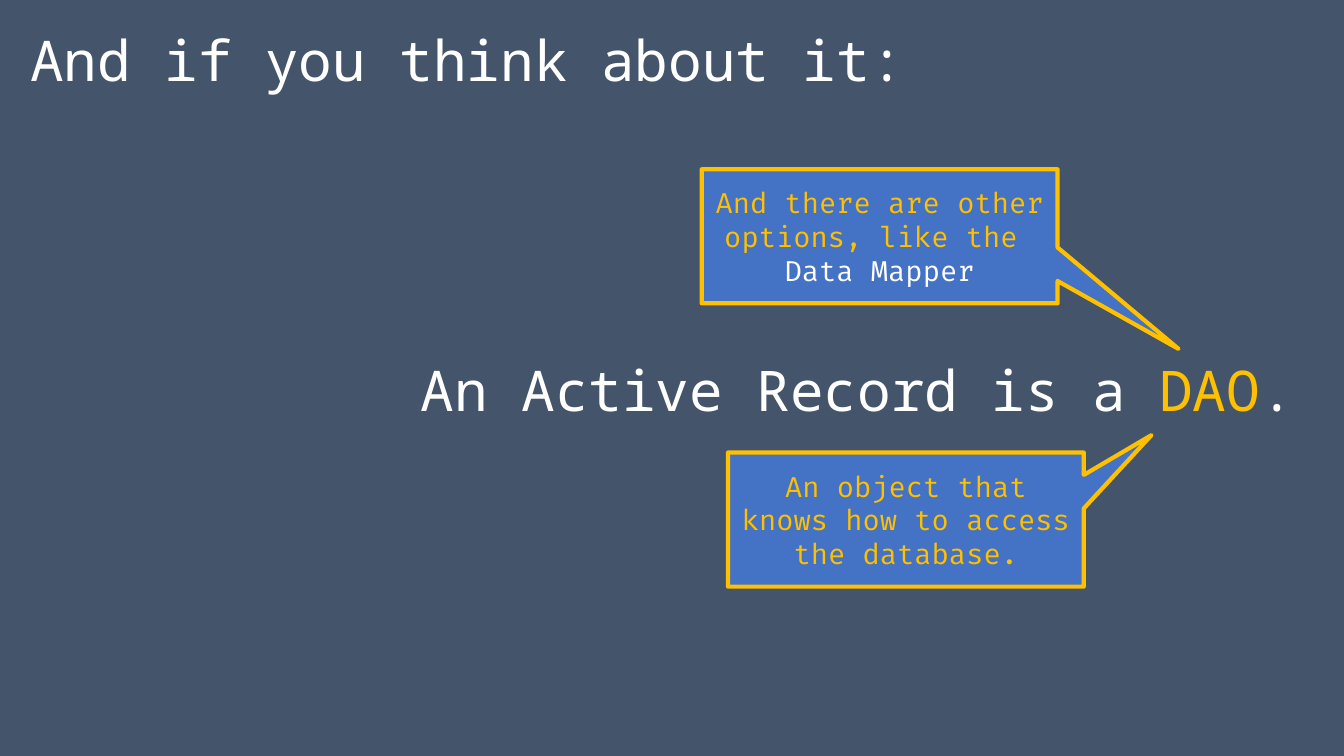
from pptx import Presentation
from pptx.dml.color import RGBColor
from pptx.enum.shapes import MSO_SHAPE
from pptx.enum.text import MSO_ANCHOR, MSO_AUTO_SIZE, PP_ALIGN
from pptx.util import Inches, Pt

CALLOUT = MSO_SHAPE.RECTANGULAR_CALLOUT
TOP, MIDDLE = MSO_ANCHOR.TOP, MSO_ANCHOR.MIDDLE
LEFT, CENTER, RIGHT = PP_ALIGN.LEFT, PP_ALIGN.CENTER, PP_ALIGN.RIGHT
NO_FIT = MSO_AUTO_SIZE.NONE

MONO, CODE = "Noto Sans Mono", "Fira Code"
SLATE, BLUE, GOLD, WHITE = "44546A", "4472C4", "FFC000", "FFFFFF"
LINE_W, LINE_H = 12.53, 0.77
NOTE_W, NOTE_H = 3.53, 1.33


def color(value):
    return RGBColor.from_string(value)


def write(shape, parts, font=MONO, size=40, align=LEFT, anchor=TOP):
    """Fill one paragraph with (text, colour) parts; None is a line break."""
    frame = shape.text_frame
    frame.word_wrap = True
    frame.auto_size = NO_FIT
    frame.vertical_anchor = anchor
    para = frame.paragraphs[0]
    para.alignment = align
    for part in parts:
        if part is None:
            para.add_line_break()
            continue
        run = para.add_run()
        run.text, tint = part
        run.font.name = font
        run.font.size = Pt(size)
        run.font.color.rgb = color(tint)


def add_title(slide, box):
    title = slide.shapes.title
    title.left, title.top, title.width, title.height = map(Inches, box)
    write(title, [("And if you think about it:", WHITE)])


def add_claim(slide, box):
    claim = slide.shapes.add_textbox(*map(Inches, box))
    parts = [("An Active Record is a ", WHITE), ("DAO", GOLD), (".", WHITE)]
    write(claim, parts, align=RIGHT)


def add_note(slide, box, tip, parts):
    """Add a callout whose tip is offset from its centre in box fractions."""
    note = slide.shapes.add_shape(CALLOUT, *map(Inches, box))
    note.shadow.inherit = False
    note.adjustments[0], note.adjustments[1] = tip
    note.fill.solid()
    note.fill.fore_color.rgb = color(BLUE)
    note.line.color.rgb = color(GOLD)
    note.line.width = Pt(3)
    write(note, parts, font=CODE, size=20, align=CENTER, anchor=MIDDLE)


def main():
    deck = Presentation()
    deck.slide_width, deck.slide_height = Inches(13.33), Inches(7.5)
    slide = deck.slides.add_slide(deck.slide_layouts[5])
    slide.background.fill.solid()
    slide.background.fill.fore_color.rgb = color(SLATE)

    # Title and main claim
    add_title(slide, (0.2, 0.2, LINE_W, LINE_H))
    add_claim(slide, (0.4, 3.48, LINE_W, LINE_H))

    # Callouts below and above the claim
    add_note(slide, (7.22, 4.49, NOTE_W, NOTE_H), (0.69, -0.63),
             [("An object that knows how to access the database.", GOLD)])
    add_note(slide, (6.96, 1.68, NOTE_W, NOTE_H), (0.84, 0.84),
             [("And there are other options, like the ", GOLD), None,
              ("Data Mapper", WHITE)])

    deck.save("out.pptx")


if __name__ == "__main__":
    main()
